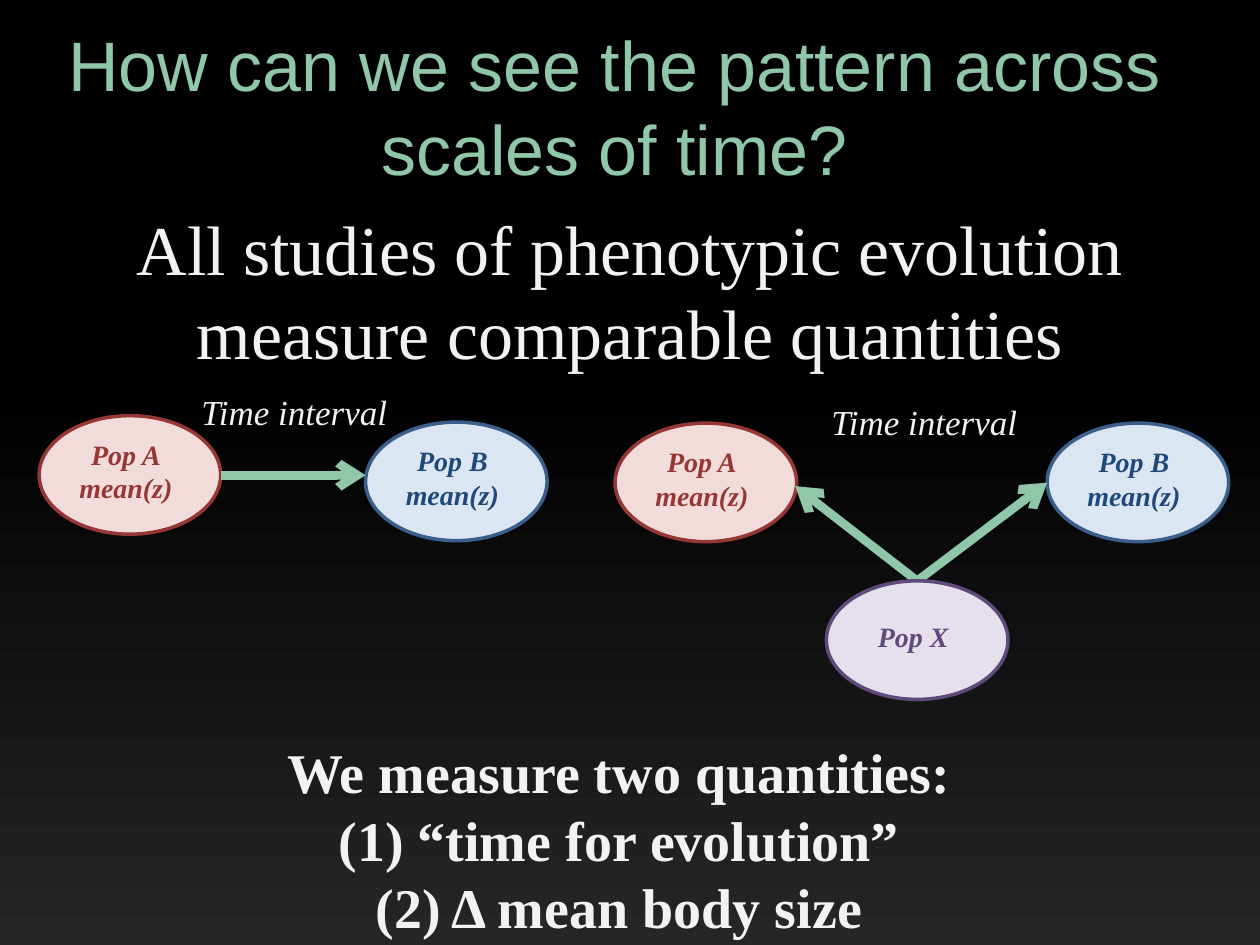
from lxml import etree
from pptx import Presentation
from pptx.dml.color import RGBColor
from pptx.enum.shapes import MSO_CONNECTOR, MSO_SHAPE
from pptx.enum.text import MSO_ANCHOR, MSO_AUTO_SIZE, PP_ALIGN
from pptx.oxml.ns import qn
from pptx.util import Cm, Pt

OVAL, STRAIGHT = MSO_SHAPE.OVAL, MSO_CONNECTOR.STRAIGHT
MIDDLE, CENTER, NO_FIT = MSO_ANCHOR.MIDDLE, PP_ALIGN.CENTER, MSO_AUTO_SIZE.NONE
TITLE_ONLY = 5

BLACK = RGBColor(0x00, 0x00, 0x00)
CHARCOAL = RGBColor(0x26, 0x26, 0x26)
GREEN = RGBColor(0x91, 0xC7, 0xA9)
OFF_WHITE = RGBColor(0xF2, 0xF2, 0xF2)
# Fill, outline and text of each population
RED = RGBColor(0xF2, 0xDC, 0xDB), RGBColor(0x95, 0x37, 0x35), RGBColor(0x95, 0x37, 0x35)
BLUE = RGBColor(0xDC, 0xE6, 0xF2), RGBColor(0x3A, 0x5F, 0x8C), RGBColor(0x1F, 0x49, 0x7D)
PURPLE = RGBColor(0xE6, 0xE0, 0xEC), RGBColor(0x60, 0x4A, 0x7B), RGBColor(0x60, 0x4A, 0x7B)

SERIF, SANS = "Times New Roman", "Arial"

# Content; all lengths in centimetres
TITLE = ["How can we see the pattern across scales of time?"]
TITLE_BOX = (0, 1.07, 24.77, 2.11)

# Lines, box (left, top, width, height), size, bold, italic
TEXTS = [
    (["All studies of phenotypic evolution measure comparable quantities"],
     (1.27, 4.24, 22.86, 3.18), 40, False, False),
    (["We measure two quantities:", "(1) “time for evolution”", "(2) Δ mean body size"],
     (4.01, 14.8, 16.94, 4.22), 32, True, False),
    (["Time interval"], (1.91, 7.52, 8.05, 1.57), 20, False, True),
    (["Time interval"], (14.61, 7.72, 8.05, 1.57), 20, False, True),
]

# Lines, left, top, colours
POPULATIONS = [
    (["Pop A", "mean(z)"], 0.79, 8.38, RED),
    (["Pop B", "mean(z)"], 7.37, 8.51, BLUE),
    (["Pop A", "mean(z)"], 12.4, 8.53, RED),
    (["Pop B", "mean(z)"], 21.11, 8.53, BLUE),
]
ANCESTOR = (["Pop X"], 16.66, 11.71, PURPLE)
OVAL_SIZE = (3.66, 2.39)
LABEL_SIZE = (2.54, 1.27)
LABEL_INSET = 0.48

# Start and end points
ARROWS = [
    ((4.45, 9.58), (7.37, 9.58)),
    ((18.49, 11.71), (21.11, 9.73)),
    ((18.49, 11.71), (16.03, 9.8)),
]


def cm(*lengths):
    return [Cm(length) for length in lengths]


def write(shape, lines, font_name, size, color, bold=False, italic=False):
    frame = shape.text_frame
    frame.word_wrap = True
    frame.auto_size = NO_FIT
    frame.vertical_anchor = MIDDLE
    frame.text = "\n".join(lines)
    for paragraph in frame.paragraphs:
        paragraph.alignment = CENTER
        font = paragraph.font
        font.name, font.size = font_name, Pt(size)
        font.bold, font.italic = bold, italic
        font.color.rgb = color


def add_population(slide, lines, left, top, colors):
    fill, outline, text_color = colors
    group = slide.shapes.add_group_shape()
    oval = group.shapes.add_shape(OVAL, *cm(left, top, *OVAL_SIZE))
    oval.shadow.inherit = False
    oval.fill.solid()
    oval.fill.fore_color.rgb = fill
    oval.line.color.rgb = outline
    oval.line.width = Pt(2)
    label = group.shapes.add_textbox(
        *cm(left + LABEL_INSET, top + LABEL_INSET, *LABEL_SIZE))
    write(label, lines, SERIF, 16, text_color, bold=True, italic=True)


def add_arrow(slide, start, end):
    arrow = slide.shapes.add_connector(STRAIGHT, *cm(*start, *end))
    arrow.line.color.rgb = GREEN
    arrow.line.width = Pt(5)
    properties = arrow.line._get_or_add_ln()
    etree.SubElement(properties, qn("a:tailEnd"), type="arrow")
    etree.SubElement(properties.getparent(), qn("a:effectLst"))


def main():
    presentation = Presentation()
    presentation.slide_width, presentation.slide_height = cm(25.4, 19.05)
    slide = presentation.slides.add_slide(presentation.slide_layouts[TITLE_ONLY])

    # Background: black, fading to charcoal at the bottom
    background = slide.background.fill
    background.gradient()
    background.gradient_angle = 270
    for stop, position, color in zip(background.gradient_stops, (0.41, 1), (BLACK, CHARCOAL)):
        stop.position = position
        stop.color.rgb = color

    # Title
    title = slide.shapes.title
    title.left, title.top, title.width, title.height = cm(*TITLE_BOX)
    write(title, TITLE, SANS, 40, GREEN)

    # Statements and time labels
    for lines, box, size, bold, italic in TEXTS:
        write(slide.shapes.add_textbox(*cm(*box)), lines, SERIF, size, OFF_WHITE, bold, italic)

    # Populations, with the ancestor in front of the arrows
    for population in POPULATIONS:
        add_population(slide, *population)
    for start, end in ARROWS:
        add_arrow(slide, start, end)
    add_population(slide, *ANCESTOR)

    presentation.save("out.pptx")


if __name__ == "__main__":
    main()
